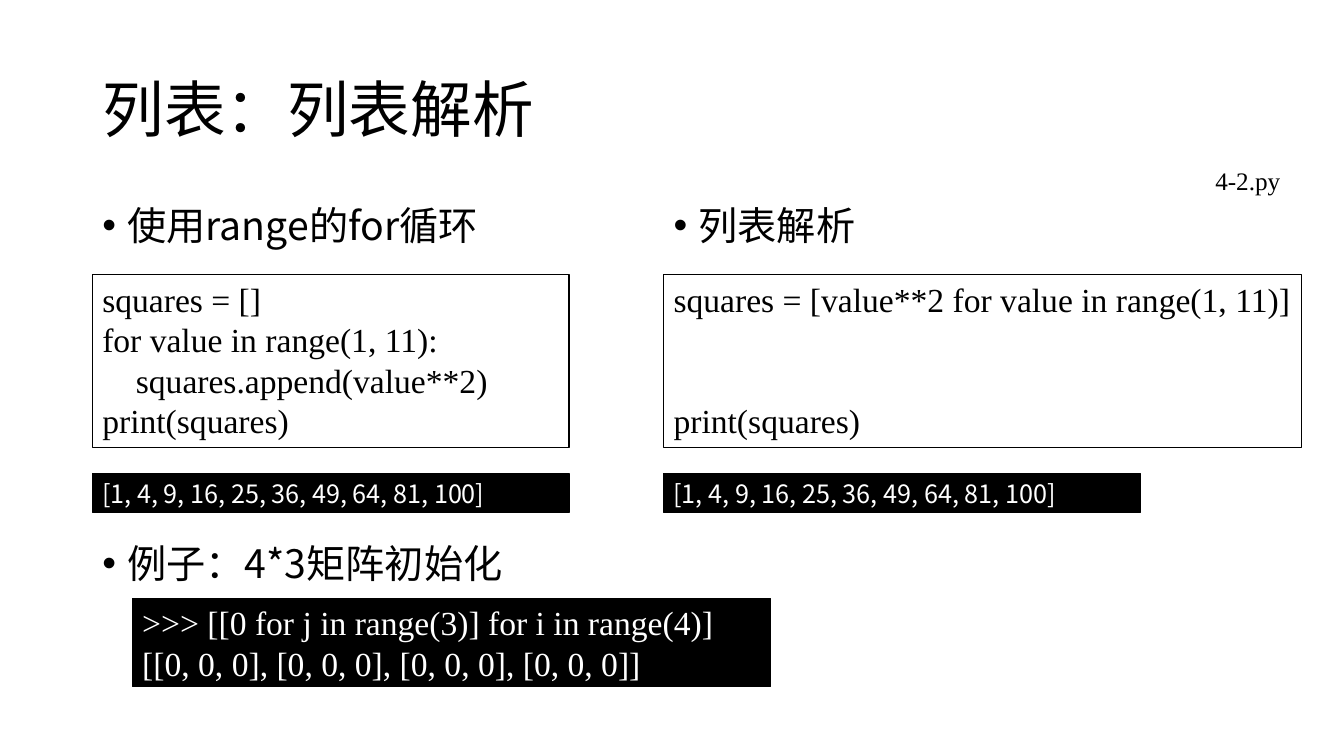
from dataclasses import dataclass

from lxml.etree import SubElement
from pptx import Presentation
from pptx.dml.color import RGBColor
from pptx.enum.shapes import MSO_SHAPE
from pptx.enum.text import MSO_ANCHOR, MSO_AUTO_SIZE, PP_ALIGN
from pptx.oxml.ns import qn
from pptx.util import Emu, Pt


@dataclass(frozen=True)
class Theme:
    ink: RGBColor = RGBColor(0, 0, 0)
    paper: RGBColor = RGBColor(255, 255, 255)
    sans: str = "Noto Sans CJK SC"
    serif: str = "Times New Roman"
    title: int = 44
    bullet: int = 28
    code: int = 24
    small: int = 18
    code_line: float = 28.8
    tight: float = 0.9


def px(n):
    return Emu(n * 9525)


class Deck:
    """Draws the elements of one slide in one theme."""

    def __init__(self, theme):
        self.theme = theme
        self.prs = Presentation()
        self.prs.slide_width, self.prs.slide_height = px(1280), px(720)
        self.s = self.prs.slides.add_slide(self.prs.slide_layouts[5])

    def _format(self, tf, size, font, color, spacing=None, anchor=MSO_ANCHOR.TOP):
        tf.auto_size = MSO_AUTO_SIZE.NONE
        tf.vertical_anchor = anchor
        for p in tf.paragraphs:
            p.alignment = PP_ALIGN.LEFT
            if spacing:
                p.line_spacing = spacing
            for r in p.runs:
                r.font.size = Pt(size)
                r.font.name = font
                r.font.color.rgb = color
                SubElement(r.font._element, qn("a:ea"), typeface=font)

    def _textbox(self, text, x, y, w, h, wrap=True):
        tf = self.s.shapes.add_textbox(px(x), px(y), px(w), px(h)).text_frame
        tf.word_wrap = wrap
        tf.text = text
        return tf

    def _box(self, text, x, y, w, h, line):
        sp = self.s.shapes.add_shape(MSO_SHAPE.RECTANGLE, px(x), px(y), px(w), px(h))
        sp.shadow.inherit = False
        sp.line.color.rgb = self.theme.ink
        sp.line.width = Pt(line)
        sp.text_frame.text = text
        return sp

    def title(self, text, x, y, w, h):
        t = self.theme
        sp = self.s.shapes.title
        sp.left, sp.top, sp.width, sp.height = px(x), px(y), px(w), px(h)
        sp.text_frame.text = text
        self._format(sp.text_frame, t.title, t.sans, t.ink, t.tight, MSO_ANCHOR.MIDDLE)

    def bullet(self, text, x, y, w=544, h=56, indent=24):
        t = self.theme
        tf = self._textbox(text, x, y, w, h)
        pPr = tf.paragraphs[0]._p.get_or_add_pPr()
        pPr.set("marL", str(px(indent)))
        pPr.set("indent", str(-px(indent)))
        SubElement(pPr, qn("a:buFont"), typeface="Arial")
        SubElement(pPr, qn("a:buChar"), char="•")
        self._format(tf, t.bullet, t.sans, t.ink, t.tight)

    def label(self, text, x, y, w, h):
        t = self.theme
        tf = self._textbox(text, x, y, w, h, wrap=False)
        self._format(tf, t.small, t.serif, t.ink)

    def code(self, text, x, y, w, h, gap_lines=0):
        t = self.theme
        sp = self._box(text, x, y, w, h, 0.75)
        sp.fill.background()
        self._format(sp.text_frame, t.code, t.serif, t.ink, Pt(t.code_line))
        if gap_lines:
            sp.text_frame.paragraphs[-1].space_before = Pt(gap_lines * t.code_line)

    def console(self, text, x, y, w, h, size, font, spacing=None):
        t = self.theme
        sp = self._box(text, x, y, w, h, 1)
        sp.fill.solid()
        sp.fill.fore_color.rgb = t.ink
        self._format(sp.text_frame, size, font, t.paper, spacing, MSO_ANCHOR.MIDDLE)


def main():
    theme = Theme()
    deck = Deck(theme)
    deck.title("列表：列表解析", 88, 38, 1104, 139)
    deck.label("4-2.py", 1148, 153, 82, 38)

    loop = "squares = []\nfor value in range(1, 11):\n    squares.append(value**2)\nprint(squares)"
    comprehension = "squares = [value**2 for value in range(1, 11)]\nprint(squares)"
    columns = [
        (88, "使用range的for循环", loop, 454, 0),
        (632, "列表解析", comprehension, 608, 2),
    ]
    for x, heading, code, width, gap_lines in columns:
        deck.bullet(heading, x, 192)
        deck.code(code, x, 261, width, 165, gap_lines)
        deck.console("[1, 4, 9, 16, 25, 36, 49, 64, 81, 100]",
                     x, 451, 454, 37, theme.small, theme.sans)

    deck.bullet("例子：4*3矩阵初始化", 88, 514)
    deck.console(">>> [[0 for j in range(3)] for i in range(4)]\n"
                 "[[0, 0, 0], [0, 0, 0], [0, 0, 0], [0, 0, 0]]",
                 126, 570, 608, 84, theme.code, theme.serif, Pt(theme.code_line))
    deck.prs.save("out.pptx")


if __name__ == "__main__":
    main()
